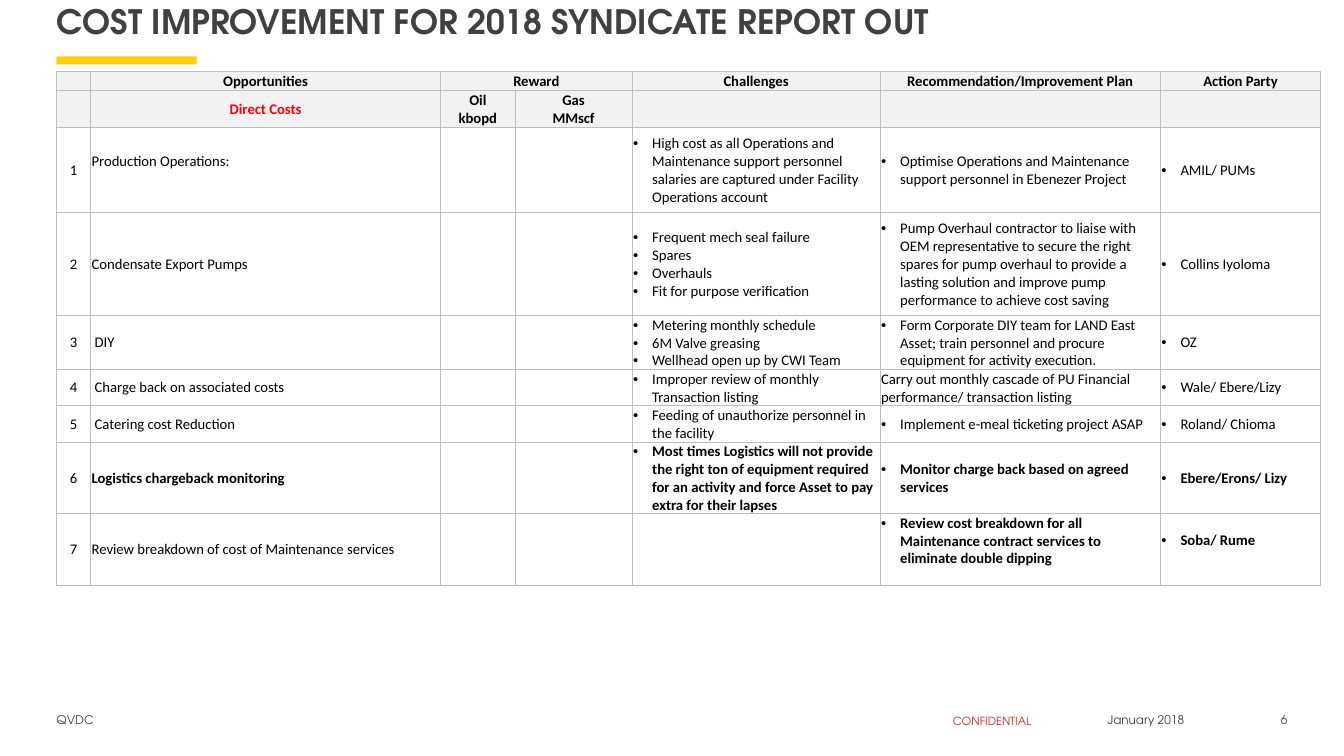
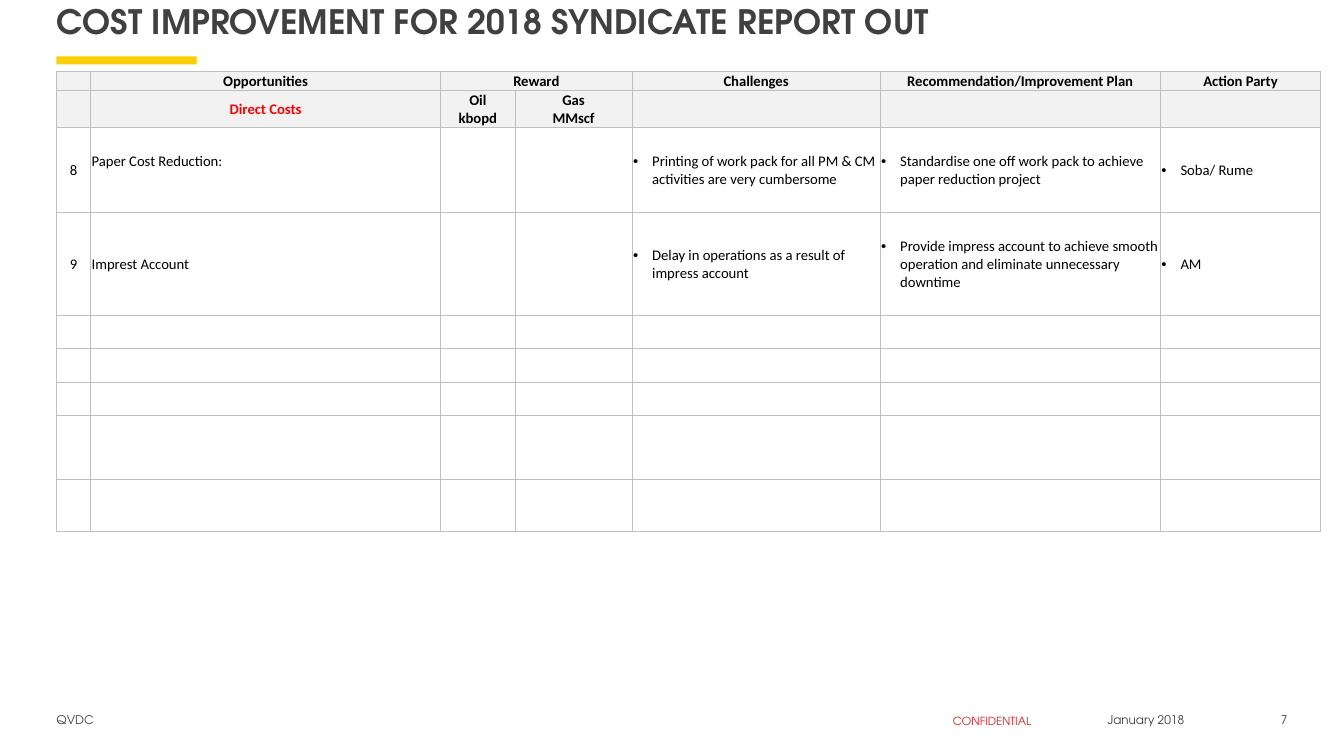
"""Build two cost improvement slides with a shared title, footer and table style."""
from dataclasses import dataclass

from lxml import etree
from pptx import Presentation
from pptx import dml, slide as sl, table as tb, util as u
from pptx.dml import color
from pptx.enum import shapes, text
from pptx.oxml import ns

TITLE = "COST IMPROVEMENT FOR 2018 SYNDICATE REPORT OUT"
TITLE_FONT, TABLE_FONT = "TeX Gyre Adventor", "Calibri"
YELLOW, RED, BRIGHT_RED = "FBCE07", "DD1D21", "FF0000"
DARK, BLACK, BORDER, HEADER_FILL = "404040", "000000", "BFBFBF", "F2F2F2"
TABLE_SIZE = 10.5
LEFT, TABLE_TOP = 0.56, 0.71
COLUMN_WIDTHS = (0.34, 3.47, 0.74, 1.16, 2.46, 2.78, 1.59)
HEADER_HEIGHTS = (0.19, 0.36)
BULLET_INDENT, CELL_MARGIN, LINE_HEIGHT = 0.19, 0.01, 0.18
CENTER, START, END = text.PP_ALIGN.CENTER, text.PP_ALIGN.LEFT, text.PP_ALIGN.RIGHT


@dataclass(frozen=True)
class Label:
    content: str
    left: float
    top: float
    width: float
    height: float
    size: float = 8.5
    color: str = DARK
    align: text.PP_ALIGN = START
    bold: bool = False
    wrap: bool = False
    bottom: float = 0.05


@dataclass(frozen=True)
class Entry:
    lines: tuple[str, ...] = ()
    bold: bool = False
    bullet: bool = False
    align: text.PP_ALIGN = START
    color: str = BLACK
    left: float = CELL_MARGIN
    bottom: float = 0


@dataclass(frozen=True)
class Row:
    height: float
    number: str = ""
    opportunity: Entry = Entry()
    challenge: Entry = Entry()
    plan: Entry = Entry()
    party: Entry = Entry()

    def entries(self) -> tuple[Entry, ...]:
        number = Entry((self.number,), align=CENTER) if self.number else Entry()
        return (number, self.opportunity, Entry(), Entry(),
                self.challenge, self.plan, self.party)


def plain(line: str, bold: bool = False, left: float = CELL_MARGIN, bottom: float = 0) -> Entry:
    return Entry((line,), bold=bold, left=left, bottom=bottom)


def bullets(*lines: str, bold: bool = False, bottom: float = 0) -> Entry:
    return Entry(lines, bold=bold, bullet=True, bottom=bottom)


def heading(line: str, tint: str = BLACK) -> Entry:
    return Entry((line,), bold=True, align=CENTER, color=tint)


HEADERS = (
    (Entry(), heading("Opportunities"), heading("Reward"), Entry(), heading("Challenges"),
     heading("Recommendation/Improvement Plan"), heading("Action Party")),
    (Entry(), heading("Direct Costs", BRIGHT_RED), heading("Oil\nkbopd"),
     heading("Gas\nMMscf"), Entry(), Entry(), Entry()),
)

PAGES = {
    "6": (
        Row(0.85, "1", plain("Production Operations:", bottom=LINE_HEIGHT),
            bullets("High cost as all Operations and Maintenance support personnel "
                    "salaries are captured under Facility Operations account"),
            bullets("Optimise Operations and Maintenance support personnel in Ebenezer Project"),
            bullets("AMIL/ PUMs")),
        Row(1.02, "2", plain("Condensate Export Pumps"),
            bullets("Frequent mech seal failure", "Spares", "Overhauls",
                    "Fit for purpose verification"),
            bullets("Pump Overhaul contractor to liaise with OEM representative to secure the "
                    "right spares for pump overhaul to provide a lasting solution and improve "
                    "pump performance to achieve cost saving"),
            bullets("Collins Iyoloma")),
        Row(0.53, "3", plain("DIY", left=0.04),
            bullets("Metering monthly schedule", "6M Valve greasing",
                    "Wellhead open up by CWI Team"),
            bullets("Form Corporate DIY team for LAND East Asset; train personnel and procure "
                    "equipment for activity execution."),
            bullets("OZ")),
        Row(0.36, "4", plain("Charge back on associated costs", left=0.04),
            bullets("Improper review of monthly Transaction listing"),
            plain("Carry out monthly cascade of PU Financial performance/ transaction listing"),
            bullets("Wale/ Ebere/Lizy")),
        Row(0.36, "5", plain("Catering cost Reduction", left=0.04),
            bullets("Feeding of unauthorize personnel in the facility"),
            bullets("Implement e-meal ticketing project ASAP"),
            bullets("Roland/ Chioma")),
        Row(0.71, "6", plain("Logistics chargeback monitoring", bold=True),
            bullets("Most times Logistics will not provide the right ton of equipment required "
                    "for an activity and force Asset to pay extra for their lapses", bold=True),
            bullets("Monitor charge back based on agreed services", bold=True),
            bullets("Ebere/Erons/ Lizy", bold=True)),
        Row(0.71, "7", plain("Review breakdown of cost of Maintenance services"), Entry(),
            bullets("Review cost breakdown for all Maintenance contract services to eliminate "
                    "double dipping", bold=True, bottom=LINE_HEIGHT),
            bullets("Soba/ Rume", bold=True, bottom=LINE_HEIGHT)),
    ),
    "7": (
        Row(0.85, "8", plain("Paper Cost Reduction:", bottom=LINE_HEIGHT),
            bullets("Printing of work pack for all PM & CM activities are very cumbersome"),
            bullets("Standardise one off work pack to achieve paper reduction project"),
            bullets("Soba/ Rume")),
        Row(1.02, "9", plain("Imprest Account"),
            bullets("Delay in operations as a result of impress account"),
            bullets("Provide impress account to achieve smooth operation and eliminate "
                    "unnecessary downtime"),
            bullets("AM")),
        *(Row(height) for height in (0.33, 0.33, 0.33, 0.64, 0.51)),
    ),
}


def paint(target: dml.fill.FillFormat | dml.color.ColorFormat, tint: str) -> None:
    if isinstance(target, dml.fill.FillFormat):
        target.solid()
        target = target.fore_color
    target.rgb = color.RGBColor.from_string(tint)


def format_runs(paragraph, font: str, size: float, tint: str, bold: bool) -> None:
    for run in paragraph.runs:
        run.font.name, run.font.size, run.font.bold = font, u.Pt(size), bold
        paint(run.font.color, tint)


def add_label(slide: sl.Slide, label: Label) -> None:
    shape = slide.shapes.add_textbox(*map(u.Inches, (label.left, label.top,
                                                     label.width, label.height)))
    frame = shape.text_frame
    frame.margin_left = frame.margin_top = frame.margin_right = 0
    frame.margin_bottom = u.Inches(label.bottom)
    frame.word_wrap = label.wrap
    frame.text = label.content
    paragraph = frame.paragraphs[0]
    paragraph.alignment = label.align
    format_runs(paragraph, TITLE_FONT, label.size, label.color, label.bold)


def add_frame(slide: sl.Slide, number: str) -> None:
    band = slide.shapes.add_shape(shapes.MSO_SHAPE.RECTANGLE,
                                  *map(u.Inches, (LEFT, 0.56, 1.39, 0.08)))
    band.shadow.inherit = False
    paint(band.fill, YELLOW)
    band.line.fill.background()
    for label in (
        Label(TITLE, LEFT, 0.01, 12.22, 0.82, 24, bold=True, wrap=True, bottom=0),
        Label("QVDC", LEFT, 7.07, 3.67, 0.26),
        Label("CONFIDENTIAL", 9.25, 7.09, 1.18, 0.19, 8, RED, CENTER, wrap=True),
        Label("January 2018", 10.58, 7.07, 1.57, 0.26, align=CENTER),
        Label(number, 12.38, 7.07, 0.39, 0.26, align=END),
    ):
        add_label(slide, label)


def add_borders(cell: tb._Cell) -> None:
    properties = cell._tc.get_or_add_tcPr()
    for side in ("lnL", "lnR", "lnT", "lnB"):
        line = etree.SubElement(properties, ns.qn(f"a:{side}"), w=str(u.Pt(0.5)))
        fill = etree.SubElement(line, ns.qn("a:solidFill"))
        etree.SubElement(fill, ns.qn("a:srgbClr"), val=BORDER)


def add_bullet(paragraph) -> None:
    properties = paragraph._p.get_or_add_pPr()
    indent = u.Inches(BULLET_INDENT)
    properties.set("marL", str(indent))
    properties.set("indent", str(-indent))
    etree.SubElement(properties, ns.qn("a:buFont"), typeface="Arial")
    etree.SubElement(properties, ns.qn("a:buChar"), char="•")


def fill_cell(cell: tb._Cell, entry: Entry, is_header: bool) -> None:
    add_borders(cell)
    if is_header:
        paint(cell.fill, HEADER_FILL)
    else:
        cell.fill.background()
    cell.vertical_anchor = text.MSO_ANCHOR.MIDDLE
    cell.margin_left = u.Inches(entry.left)
    cell.margin_top = cell.margin_right = u.Inches(CELL_MARGIN)
    cell.margin_bottom = u.Inches(entry.bottom)
    frame = cell.text_frame
    if not entry.lines:
        etree.SubElement(frame.paragraphs[0]._p, ns.qn("a:endParaRPr"),
                         sz=str(int(TABLE_SIZE * 100)))
    for index, line in enumerate(entry.lines):
        paragraph = frame.add_paragraph() if index else frame.paragraphs[0]
        paragraph.text = line
        paragraph.alignment = entry.align
        if entry.bullet:
            add_bullet(paragraph)
        format_runs(paragraph, TABLE_FONT, TABLE_SIZE, entry.color, entry.bold)


def add_cost_table(slide: sl.Slide, rows: tuple[Row, ...]) -> None:
    heights = (*HEADER_HEIGHTS, *(row.height for row in rows))
    grid = (*HEADERS, *(row.entries() for row in rows))
    table = slide.shapes.add_table(
        len(grid), len(COLUMN_WIDTHS),
        *map(u.Inches, (LEFT, TABLE_TOP, sum(COLUMN_WIDTHS), sum(heights)))).table
    table.first_row = table.horz_banding = False
    for column, width in zip(table.columns, COLUMN_WIDTHS):
        column.width = u.Inches(width)
    for row, height in zip(table.rows, heights):
        row.height = u.Inches(height)
    for row_index, entries in enumerate(grid):
        for column_index, entry in enumerate(entries):
            fill_cell(table.cell(row_index, column_index), entry, row_index < len(HEADERS))
    table.cell(0, 2).merge(table.cell(0, 3))


def main() -> None:
    presentation = Presentation()
    presentation.slide_width, presentation.slide_height = u.Inches(13.33), u.Inches(7.5)
    for number, rows in PAGES.items():
        slide = presentation.slides.add_slide(presentation.slide_layouts[6])
        add_frame(slide, number)
        add_cost_table(slide, rows)
    presentation.save("out.pptx")


if __name__ == "__main__":
    main()
